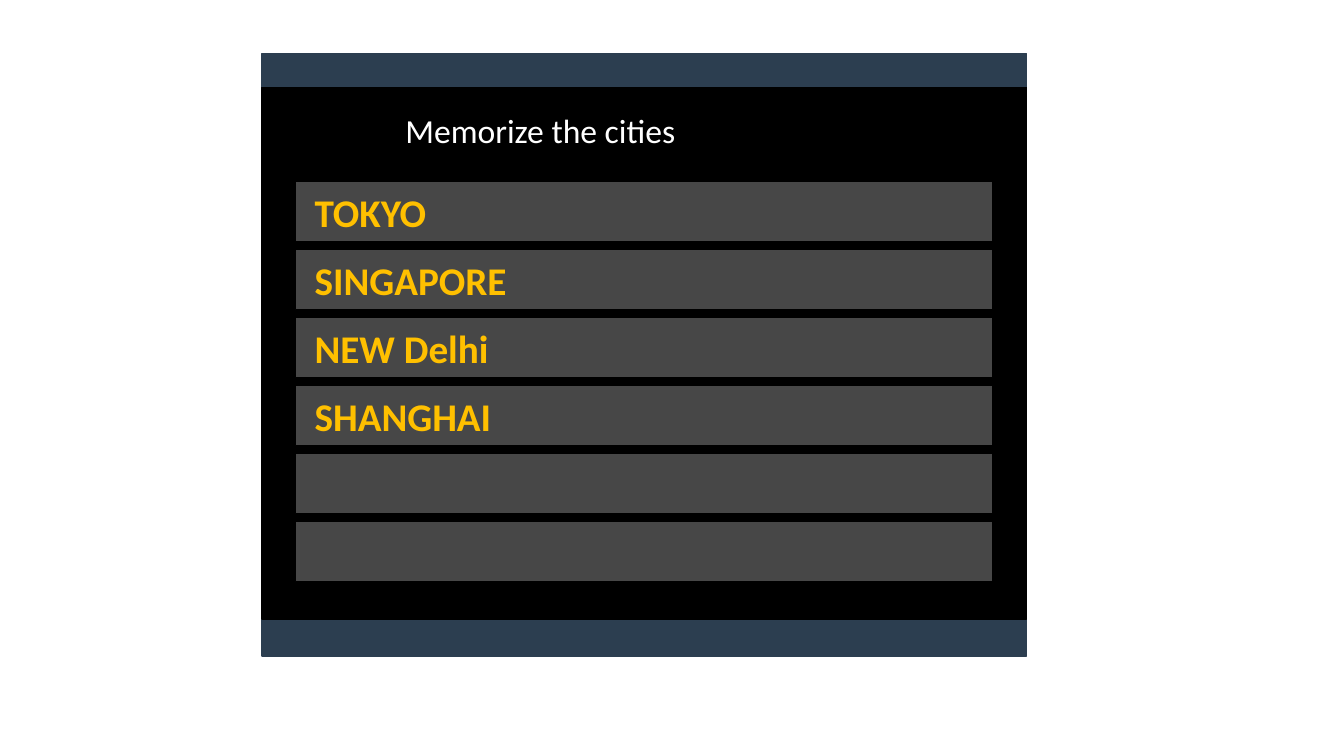
from pptx import Presentation
from pptx.dml.color import RGBColor
from pptx.enum.shapes import MSO_SHAPE
from pptx.enum.text import MSO_ANCHOR, MSO_AUTO_SIZE, PP_ALIGN
from pptx.util import Inches, Pt

RECTANGLE = MSO_SHAPE.RECTANGLE
MIDDLE = MSO_ANCHOR.MIDDLE
NO_AUTOFIT = MSO_AUTO_SIZE.NONE
LEFT = PP_ALIGN.LEFT

NAVY = RGBColor(0x2C, 0x3E, 0x50)
BLACK = RGBColor(0x00, 0x00, 0x00)
GREY = RGBColor(0x47, 0x47, 0x47)
WHITE = RGBColor(0xFF, 0xFF, 0xFF)
AMBER = RGBColor(0xFF, 0xC0, 0x00)

CITIES = ["TOKYO", "SINGAPORE", "NEW Delhi", "SHANGHAI", "", ""]
BOARD_LEFT, BOARD_WIDTH = 2.6, 7.58
ROW_LEFT, ROW_TOP, ROW_WIDTH, ROW_HEIGHT = 2.93, 1.8, 6.92, 0.6
ROW_PITCH = 0.674

HEADING_FONT = {"name": "Calibri", "size": Pt(24), "bold": False}
CITY_FONT = {"name": "Calibri", "size": Pt(28), "bold": True}


def add_bar(left, top, width, height, fill, line):
    bar = slide.shapes.add_shape(
        RECTANGLE, Inches(left), Inches(top), Inches(width), Inches(height))
    bar.shadow.inherit = False
    bar.fill.solid()
    bar.fill.fore_color.rgb = fill
    bar.line.color.rgb = line
    bar.line.width = Pt(1)
    return bar


def write_text(shape, text, font_values, color, indent):
    """Put one left-aligned, vertically centred line of text in a shape."""
    frame = shape.text_frame
    frame.text = text
    frame.word_wrap = True
    frame.auto_size = NO_AUTOFIT
    frame.vertical_anchor = MIDDLE
    frame.margin_left = Inches(indent)
    paragraph = frame.paragraphs[0]
    paragraph.alignment = LEFT
    font = paragraph.runs[0].font
    for attribute, value in font_values.items():
        setattr(font, attribute, value)
    font.color.rgb = color


prs = Presentation()
prs.slide_width = Inches(13.33)
prs.slide_height = Inches(7.5)
slide = prs.slides.add_slide(prs.slide_layouts[5])

add_bar(BOARD_LEFT, 0.53, BOARD_WIDTH, 5.98, NAVY, NAVY)
board = add_bar(BOARD_LEFT, 0.87, BOARD_WIDTH, 5.27, BLACK, BLACK)

heading = slide.shapes.title
heading.left, heading.top = Inches(3.92), Inches(0.87)
heading.width, heading.height = Inches(6.26), Inches(0.85)
heading.fill.solid()
heading.fill.fore_color.rgb = BLACK
heading.line.color.rgb = BLACK
heading.line.width = Pt(1)
write_text(heading, "Memorize the cities", HEADING_FONT, WHITE, 0.1)
# The heading placeholder must sit in front of the board
board.element.addnext(heading.element)

for index, city in enumerate(CITIES):
    row = add_bar(ROW_LEFT, ROW_TOP + index * ROW_PITCH,
                  ROW_WIDTH, ROW_HEIGHT, GREY, BLACK)
    if city:
        write_text(row, city, CITY_FONT, AMBER, 0.19)

prs.save("out.pptx")
